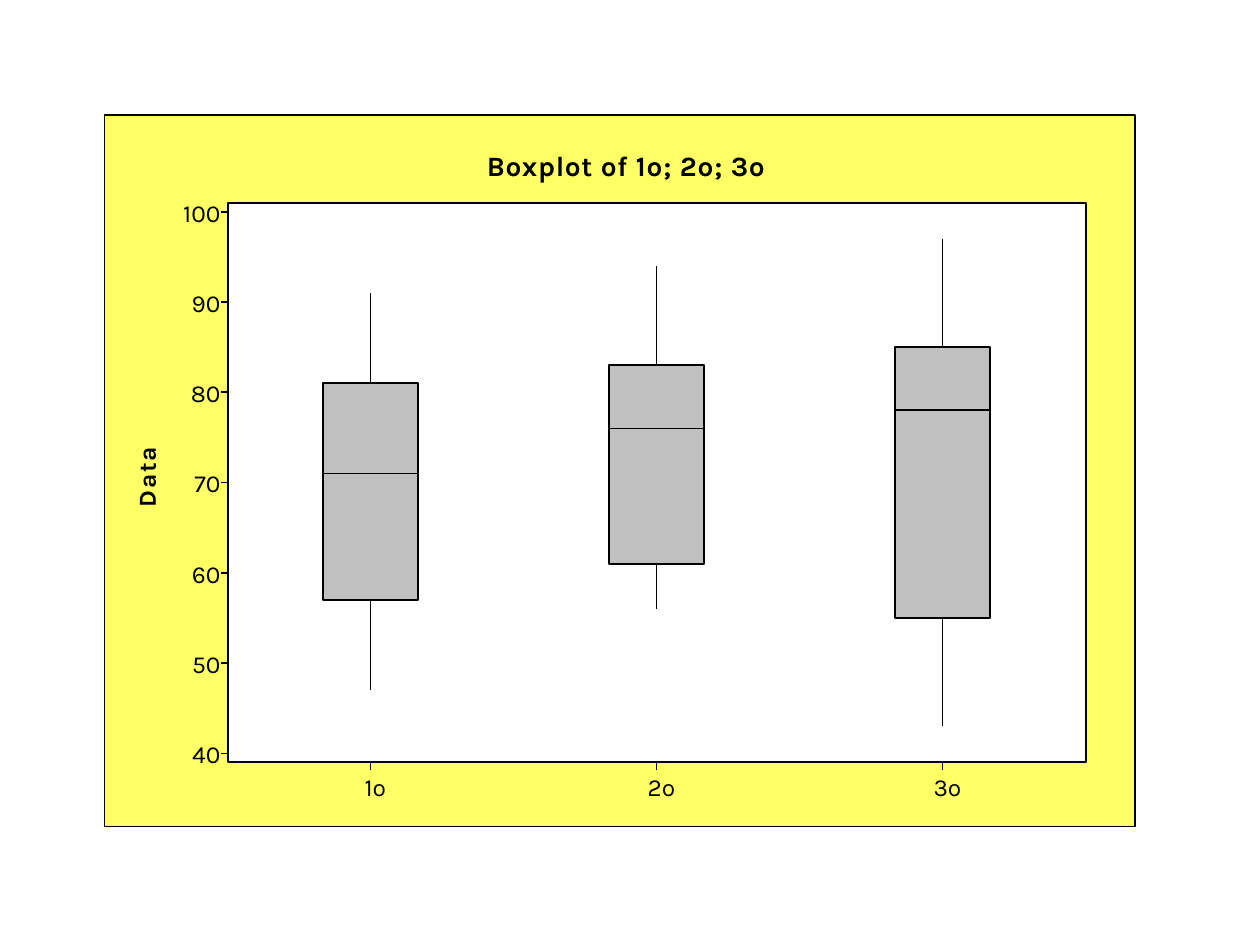
from lxml.etree import SubElement
from pptx import Presentation
from pptx.dml.color import RGBColor
from pptx.enum.shapes import MSO_CONNECTOR, MSO_SHAPE
from pptx.enum.text import MSO_ANCHOR, PP_ALIGN
from pptx.oxml.ns import qn
from pptx.util import Inches, Pt

BLACK = RGBColor(0x00, 0x00, 0x00)
WHITE = RGBColor(0xFF, 0xFF, 0xFF)
YELLOW = RGBColor(0xFF, 0xFF, 0x66)
GRAY = RGBColor(0xC0, 0xC0, 0xC0)
FONT = "Karla"

TITLE = "Boxplot of 1º; 2º; 3º"
AXIS = "Data"
TICKS = range(40, 101, 10)
# label, low, first quartile, median, third quartile, high
GROUPS = [
    ("1º", 47, 57, 71, 81, 91),
    ("2º", 56, 61, 76, 83, 94),
    ("3º", 43, 55, 78, 85, 97),
]

# left, top, width, height in inches
PANEL = (0.83, 0.91, 8.18, 5.65)
PLOT = (1.81, 1.61, 6.81, 4.44)
BASE, CEIL = 5.98, 1.68  # heights of the lowest and highest tick
FIRST, STEP = 2.94, 2.27  # centre of the first box, gap between centres
BOX = 0.75
TICK = 0.06


def level(value):
    """Height on the slide of a data value."""
    share = (value - TICKS[0]) / (TICKS[-1] - TICKS[0])
    return BASE - share * (BASE - CEIL)


def add_rect(slide, area, fill):
    rect = slide.shapes.add_shape(MSO_SHAPE.RECTANGLE, *map(Inches, area))
    rect.shadow.inherit = False
    rect.fill.solid()
    rect.fill.fore_color.rgb = fill
    rect.line.color.rgb = BLACK
    rect.line.width = Pt(1)
    return rect


def add_line(slide, *ends):
    line = slide.shapes.add_connector(MSO_CONNECTOR.STRAIGHT, *map(Inches, ends))
    line.line.color.rgb = BLACK
    line.line.width = Pt(1)
    SubElement(line._element.spPr, qn("a:effectLst"))
    return line


def add_text(slide, text, area, size=14, bold=False, align=PP_ALIGN.CENTER, gap=0):
    """Place one line of text; gap is the letter spacing in points."""
    box = slide.shapes.add_textbox(*map(Inches, area))
    frame = box.text_frame
    frame.margin_left = frame.margin_right = 0
    frame.margin_top = frame.margin_bottom = 0
    frame.word_wrap = True
    frame.vertical_anchor = MSO_ANCHOR.MIDDLE
    para = frame.paragraphs[0]
    para.alignment = align
    run = para.add_run()
    run.text = text
    run.font.name = FONT
    run.font.size = Pt(size)
    run.font.bold = bold
    run.font.color.rgb = BLACK
    if gap:
        run.font._element.set("spc", str(round(gap * 100)))
    return box


def add_scale(slide):
    left = PLOT[0]
    for value in TICKS:
        y = level(value)
        add_line(slide, left, y, left - TICK, y)
        area = (left - TICK - 0.5, y - 0.11, 0.5, 0.23)
        add_text(slide, str(value), area, align=PP_ALIGN.RIGHT)


def add_group(slide, mid, label, low, lower, median, upper, high):
    left, top, foot = mid - BOX / 2, level(upper), level(lower)
    box = add_rect(slide, (left, top, BOX, foot - top), GRAY)
    add_line(slide, left, level(median), left + BOX, level(median))
    for site, edge, end in ((0, top, high), (2, foot, low)):
        whisker = add_line(slide, mid, edge, mid, level(end))
        whisker.begin_connect(box, site)
    floor = PLOT[1] + PLOT[3]
    add_line(slide, mid, floor, mid, floor + TICK)
    add_text(slide, label, (mid - 0.21, floor + 0.08, 0.5, 0.23))


def main():
    deck = Presentation()
    deck.slide_width, deck.slide_height = Inches(10), Inches(7.5)
    slide = deck.slides.add_slide(deck.slide_layouts[6])
    add_rect(slide, PANEL, YELLOW)
    add_rect(slide, PLOT, WHITE)
    add_text(slide, TITLE, (3.47, 1.18, 3, 0.27), size=16, bold=True, gap=0.4)
    axis = add_text(slide, AXIS, (0.66, 3.67, 1, 0.23), bold=True, gap=1)
    axis.rotation = 270
    add_scale(slide)
    for i, group in enumerate(GROUPS):
        add_group(slide, FIRST + i * STEP, *group)
    deck.save("out.pptx")


if __name__ == "__main__":
    main()
